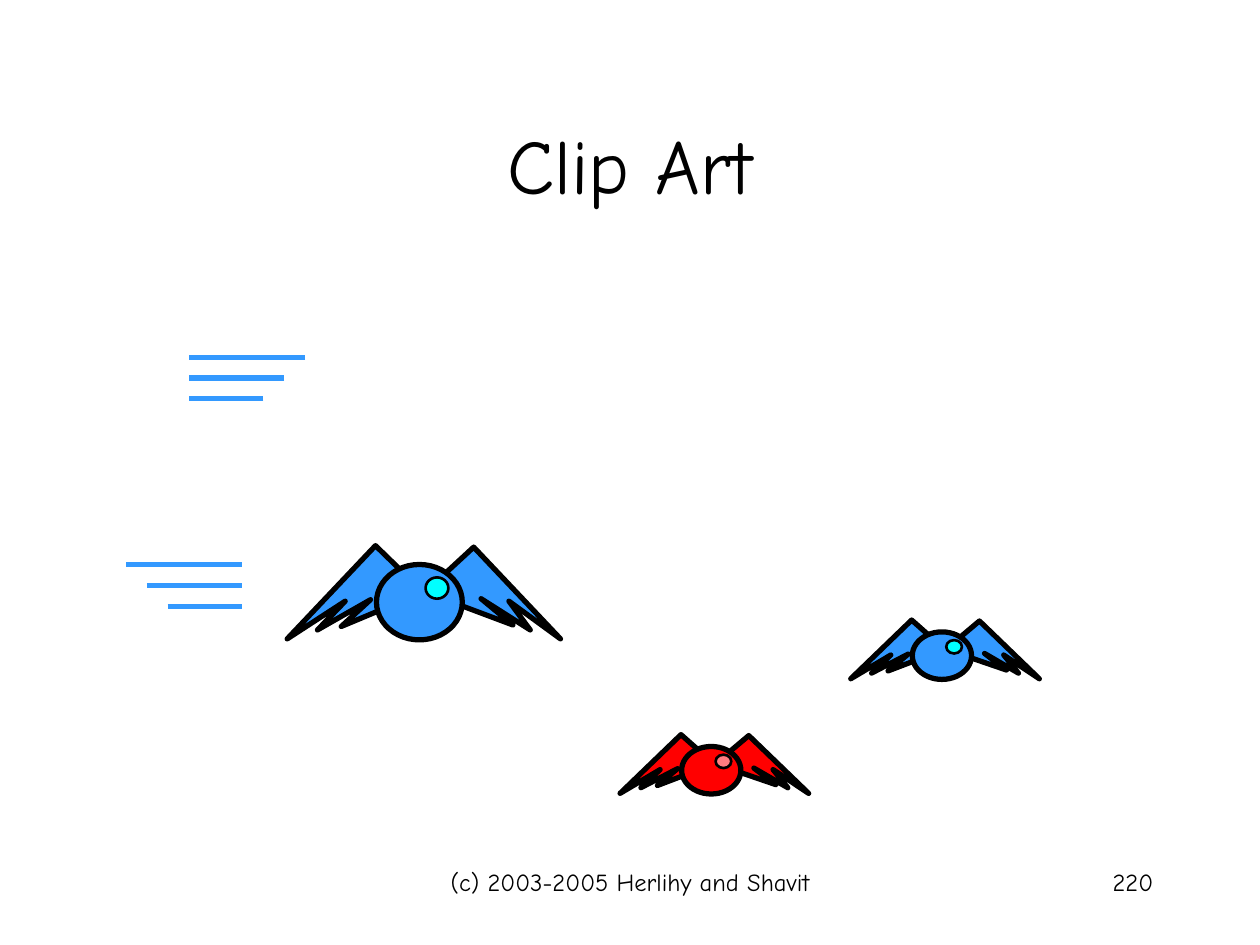
from dataclasses import dataclass

from lxml import etree
from pptx import Presentation
from pptx.dml.color import RGBColor
from pptx.enum.shapes import MSO_CONNECTOR, MSO_SHAPE
from pptx.enum.text import MSO_ANCHOR, MSO_AUTO_SIZE, PP_ALIGN
from pptx.oxml.ns import qn
from pptx.util import Cm, Pt


@dataclass(frozen=True)
class Theme:
    font: str = "Comic Neue"
    ink: RGBColor = RGBColor(0x00, 0x00, 0x00)
    blue: RGBColor = RGBColor(0x33, 0x99, 0xFF)
    cyan: RGBColor = RGBColor(0x00, 0xFF, 0xFF)
    red: RGBColor = RGBColor(0xFF, 0x00, 0x00)
    pink: RGBColor = RGBColor(0xFF, 0x7C, 0x80)
    title_size: Pt = Pt(44)
    footer_size: Pt = Pt(14)
    heavy: Pt = Pt(3)
    thin: Pt = Pt(1.5)


theme = Theme()


def write(frame, words, size, align, anchor):
    frame.word_wrap = True
    frame.auto_size = MSO_AUTO_SIZE.NONE
    frame.vertical_anchor = anchor
    paragraph = frame.paragraphs[0]
    paragraph.alignment = align
    run = paragraph.add_run()
    run.text = words
    run.font.name = theme.font
    run.font.size = size
    run.font.color.rgb = theme.ink


def paint(part, fill, width):
    part.shadow.inherit = False
    part.fill.solid()
    part.fill.fore_color.rgb = fill
    part.line.color.rgb = theme.ink
    part.line.width = width
    etree.SubElement(part.line._get_or_add_ln(), qn("a:round"))


deck = Presentation()
deck.slide_width, deck.slide_height = Cm(25.4), Cm(19.05)
slide = deck.slides.add_slide(deck.slide_layouts[5])

title = slide.shapes.title
title.left, title.top, title.width, title.height = Cm(1.9), Cm(1.7), Cm(21.6), Cm(3.18)
write(title.text_frame, "Clip Art", theme.title_size, PP_ALIGN.CENTER, MSO_ANCHOR.MIDDLE)

right_wing = [(2.97, 0.76), (3.76, 0.03), (5.51, 1.88), (4.47, 1.12),
              (4.9, 1.7), (3.91, 1.07), (4.55, 1.6), (2.79, 0.94)]
left_wing = [(2.51, 0.71), (1.78, 0), (0, 1.88), (1.17, 1.12),
             (0.61, 1.7), (1.68, 1.09), (1.09, 1.63), (2.74, 0.94)]
body = (1.8, 0.38, 1.73, 1.52)
eye = (2.79, 0.64, 0.46, 0.43)

birds = [
    (5.79, 11, 1, 1, theme.blue, theme.cyan),
    (17.15, 12.5, 0.69, 0.63, theme.blue, theme.cyan),
    (12.5, 14.81, 0.69, 0.63, theme.red, theme.pink),
]
for left, top, across, down, skin, eye_color in birds:
    bird = slide.shapes.add_group_shape()
    for wing in (right_wing, left_wing):
        points = [(Cm(left + x * across), Cm(top + y * down)) for x, y in wing]
        outline = bird.shapes.build_freeform(*points[0])
        outline.add_line_segments(points[1:], close=True)
        paint(outline.convert_to_shape(), skin, theme.heavy)
    for (x, y, width, height), fill, stroke in (
        (body, skin, theme.heavy),
        (eye, eye_color, theme.thin),
    ):
        oval = bird.shapes.add_shape(
            MSO_SHAPE.OVAL, Cm(left + x * across), Cm(top + y * down),
            Cm(width * across), Cm(height * down))
        paint(oval, fill, stroke)

for edge, top, direction in ((4.88, 11.38, -1), (3.81, 7.2, 1)):
    speed_lines = slide.shapes.add_group_shape()
    for row in range(3):
        y = Cm(top + 0.42 * row)
        tail = Cm(edge + direction * (2.34 - 0.42 * row))
        streak = speed_lines.shapes.add_connector(MSO_CONNECTOR.STRAIGHT, tail, y, Cm(edge), y)
        streak.line.color.rgb = theme.blue
        streak.line.width = theme.heavy
        etree.SubElement(streak._element.spPr, qn("a:effectLst"))

for left, width, words, align in (
    (8.68, 8.05, "(c) 2003-2005 Herlihy and Shavit", PP_ALIGN.CENTER),
    (18.2, 5.3, "220", PP_ALIGN.RIGHT),
):
    footer = slide.shapes.add_textbox(Cm(left), Cm(17.35), Cm(width), Cm(1.27))
    write(footer.text_frame, words, theme.footer_size, align, MSO_ANCHOR.TOP)

deck.save("out.pptx")
